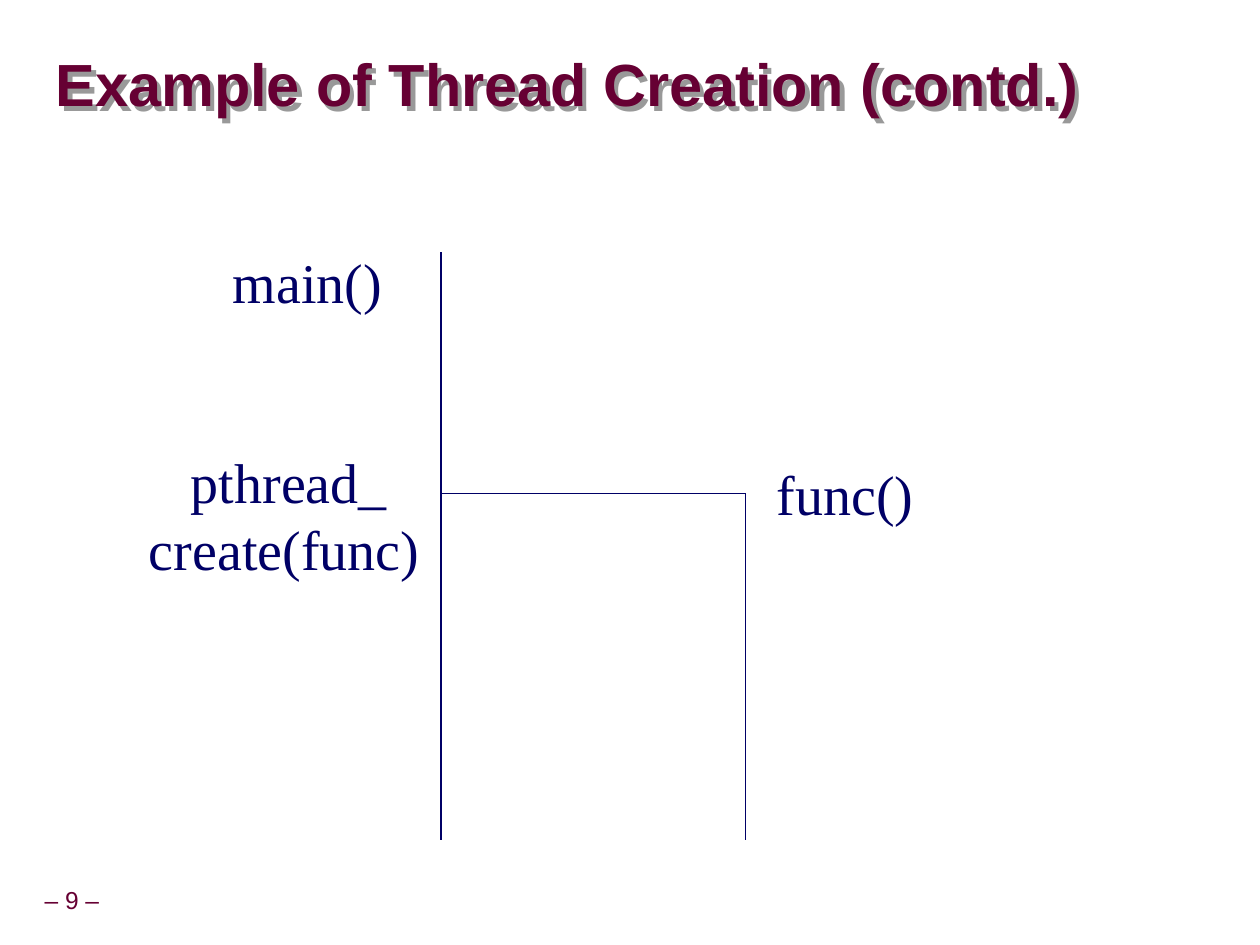
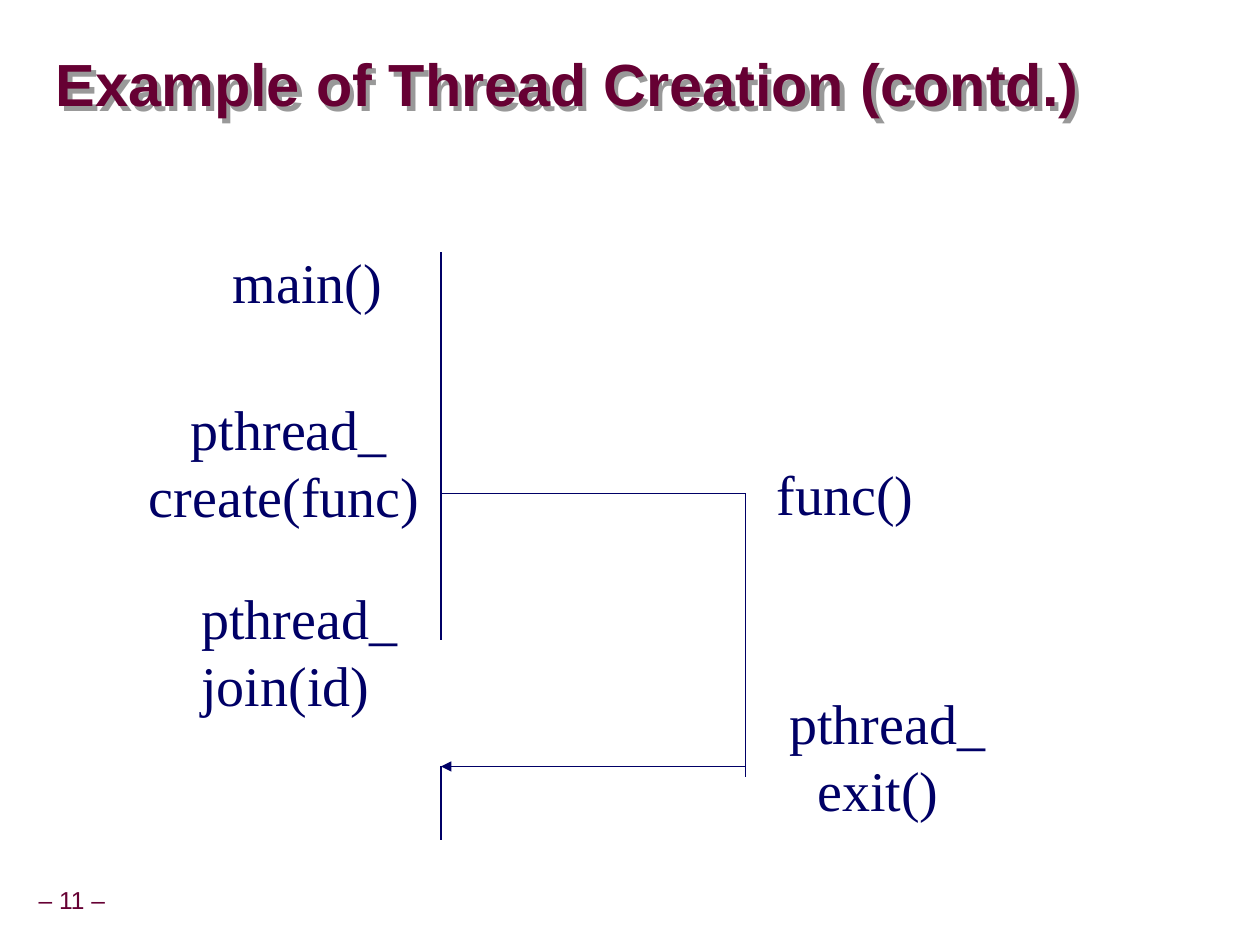
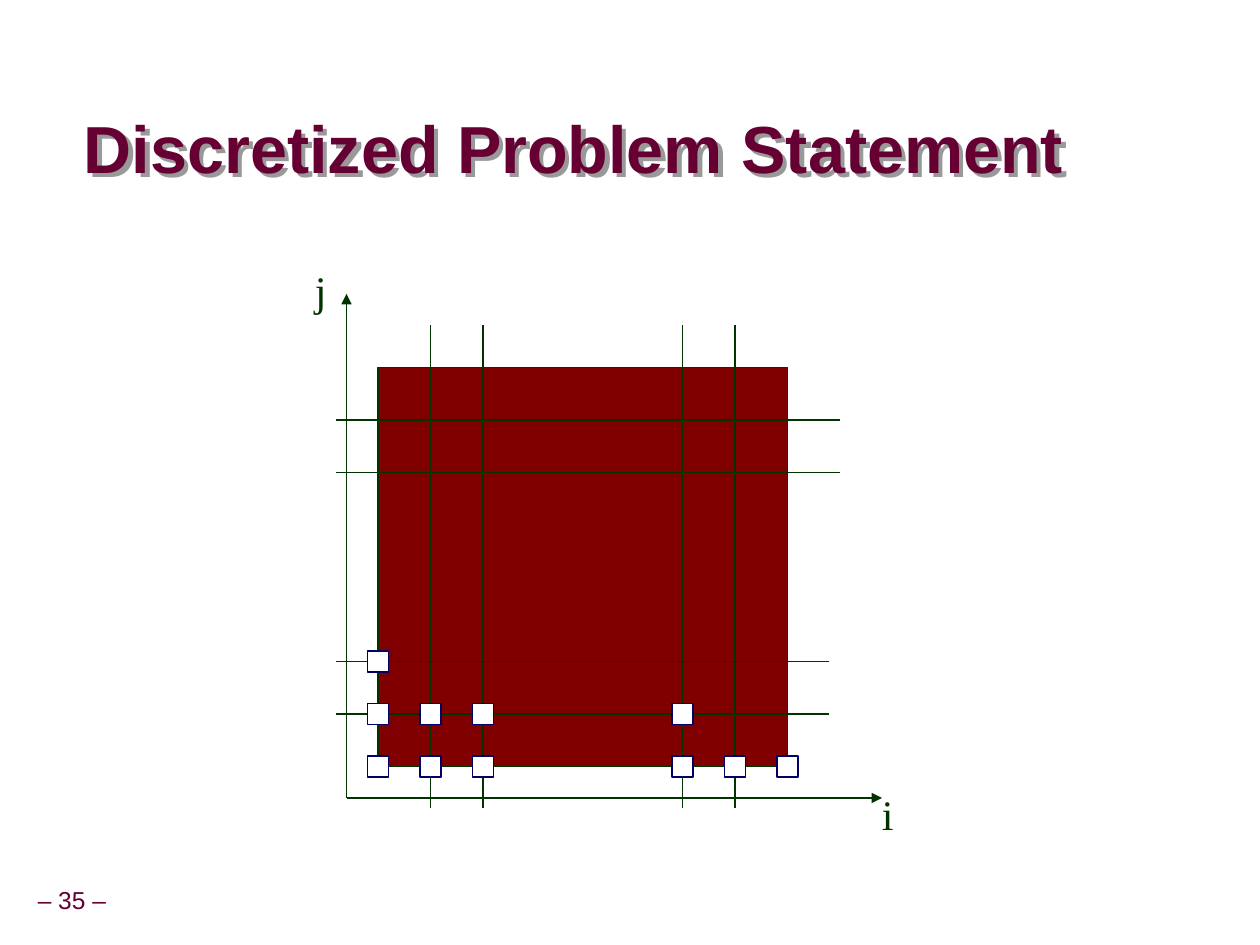
"""Builds three slides: two thread creation diagrams and a discretized grid."""
from lxml import etree
from pptx import Presentation
from pptx.dml.color import RGBColor
from pptx.enum.dml import MSO_THEME_COLOR
from pptx.enum.shapes import MSO_CONNECTOR, MSO_SHAPE
from pptx.enum.text import MSO_ANCHOR, MSO_AUTO_SIZE, PP_ALIGN
from pptx.oxml import parse_xml
from pptx.oxml.ns import nsdecls, qn
from pptx.util import Inches, Pt

RECT, STRAIGHT = MSO_SHAPE.RECTANGLE, MSO_CONNECTOR.STRAIGHT
TOP, MIDDLE = MSO_ANCHOR.TOP, MSO_ANCHOR.MIDDLE
LEFT, CENTER = PP_ALIGN.LEFT, PP_ALIGN.CENTER
GROW, FIXED = MSO_AUTO_SIZE.SHAPE_TO_FIT_TEXT, MSO_AUTO_SIZE.NONE
BACKGROUND = MSO_THEME_COLOR.BACKGROUND_1

WIDTH, HEIGHT, CELL = 10, 7.5, 1 / 12
WINE, NAVY, GREEN, RED, WHITE, GREY = "660033", "000066", "003300", "800000", "FFFFFF", "999999"

TITLE = dict(font=dict(name="Arial", bold=True), color=WINE,
             frame=dict(word_wrap=True, auto_size=FIXED, vertical_anchor=MIDDLE),
             para=dict(alignment=LEFT, line_spacing=0.87), insets=(0, 0))
FOOTER = dict(font=dict(name="Arial", size=Pt(14)), color=WINE,
              frame=dict(word_wrap=False, auto_size=GROW, vertical_anchor=MIDDLE),
              para=dict(alignment=CENTER, line_spacing=0.9), insets=(0.05, 0.05))
LABEL = dict(font=dict(name="Times New Roman", size=Pt(32)), color=NAVY,
             frame=dict(word_wrap=True, auto_size=GROW, vertical_anchor=TOP),
             para=dict(alignment=LEFT), insets=(0.1, 0.05))
AXIS_LABEL = {**LABEL, "font": dict(name="Times New Roman", size=Pt(24)), "color": GREEN}

THREAD_TITLE = ("Example of Thread Creation (contd.)", (5.3, 3.3, 114.4, 10.2), 34)
GRID_TITLE = ("Discretized Problem Statement", (8, 7, 102, 15), 38)

MAIN_X, FUNC_X, START_Y, FORK_Y, JOIN_Y, END_Y = 42, 71, 24, 47, 73, 80
FORK = (MAIN_X, FORK_Y, FUNC_X, FORK_Y, False)
COMMON_LABELS = [([("main()", 0)], (21, 23, 17, 7.7)),
                 ([("func()", 0)], (72.8, 43.2, 16, 7.7))]
CREATE = [("pthread_", 24), ("create(func)", 0)]
THREAD_SLIDES = [
    dict(page=9,
         labels=[(CREATE, (13, 42, 28.5, 14))],
         lines=[(MAIN_X, START_Y, MAIN_X, END_Y, False),
                (FUNC_X, FORK_Y, FUNC_X, END_Y, False)]),
    dict(page=11,
         labels=[(CREATE, (13, 37, 28.5, 14)),
                 ([("pthread_", 0), ("join(id)", 0)], (18, 55, 21.5, 14)),
                 ([("pthread_", 0), ("exit()", 16)], (74, 65, 21.5, 14))],
         lines=[(MAIN_X, START_Y, MAIN_X, 61, False),
                (FUNC_X, FORK_Y, FUNC_X, JOIN_Y + 1, False),
                (FUNC_X, JOIN_Y, MAIN_X, JOIN_Y, True),
                (MAIN_X, JOIN_Y, MAIN_X, END_Y, False)]),
]

DOMAIN = (36, 35, 39, 38)
AXES = [(33, 76, 84, 76, True), (33, 76, 33, 28, True)]
AXIS_LABELS = [("i", (82.8, 74.5, 3.5, 6)), ("j", (28.8, 24.6, 3.5, 6))]
COLUMNS = [41, 46, 65, 70]
ROWS = [(40, 80), (45, 80), (68, 79), (63, 79)]
NODES = {73: [36, 41, 46, 65, 70, 75], 68: [36, 41, 46, 65], 63: [36]}
NODE_SIZE = 2


def rgb(value):
    return RGBColor.from_string(value)


def cells(*values):
    return [Inches(v * CELL) for v in values]


def apply(target, values):
    for name, value in values.items():
        setattr(target, name, value)


def add_text(s, paragraphs, box, style):
    shape = s.shapes.add_textbox(*cells(*box))
    tf = shape.text_frame
    side, top = map(Inches, style["insets"])
    apply(tf, dict(margin_left=side, margin_right=side, margin_top=top,
                   margin_bottom=top, **style["frame"]))
    for i, (text, indent) in enumerate(paragraphs):
        p = tf.add_paragraph() if i else tf.paragraphs[0]
        if indent:
            p._p.get_or_add_pPr().set("marL", str(Pt(indent)))
        apply(p, style["para"])
        r = p.add_run()
        r.text = text
        apply(r.font, style["font"])
        r.font.color.rgb = rgb(style["color"])
    return shape


def add_title(s, text, box, size):
    style = {**TITLE, "font": {**TITLE["font"], "size": Pt(size)}}
    shape = add_text(s, [(text, 0)], box, style)
    shape._element.spPr.append(parse_xml(
        f'<a:effectLst {nsdecls("a")}><a:outerShdw dist="45000" dir="2700000">'
        f'<a:srgbClr val="{GREY}"/></a:outerShdw></a:effectLst>'))


def add_line(s, x1, y1, x2, y2, arrow, color):
    line = s.shapes.add_connector(STRAIGHT, *cells(x1, y1, x2, y2))
    line.line.color.rgb = rgb(color)
    line.line.width = Pt(0.75)
    if arrow:
        etree.SubElement(line.line._get_or_add_ln(), qn("a:tailEnd"), type="triangle")
    etree.SubElement(line._element.spPr, qn("a:effectLst"))


def add_rect(s, box, fill, color):
    shape = s.shapes.add_shape(RECT, *cells(*box))
    shape.shadow.inherit = False
    shape.fill.solid()
    shape.fill.fore_color.rgb = rgb(fill)
    shape.line.color.rgb = rgb(color)
    shape.line.width = Pt(0.75)


def add_slide(prs, title, page):
    s = prs.slides.add_slide(prs.slide_layouts[6])
    s.background.fill.solid()
    s.background.fill.fore_color.theme_color = BACKGROUND
    add_text(s, [(f"– {page} –", 0)], (-1, 84, 15.7, 3.7), FOOTER)
    add_title(s, *title)
    return s


def add_thread_slide(prs, page, labels, lines):
    s = add_slide(prs, THREAD_TITLE, page)
    for paragraphs, box in COMMON_LABELS + labels:
        add_text(s, paragraphs, box, LABEL)
    for line in [FORK] + lines:
        add_line(s, *line, NAVY)


def add_grid_slide(prs):
    s = add_slide(prs, GRID_TITLE, 35)
    add_rect(s, DOMAIN, RED, GREEN)
    columns = [(x, 31, x, 77, False) for x in COLUMNS]
    rows = [(32, y, right, y, False) for y, right in ROWS]
    for line in AXES + columns + rows:
        add_line(s, *line, GREEN)
    for text, box in AXIS_LABELS:
        add_text(s, [(text, 0)], box, AXIS_LABEL)
    for y, xs in NODES.items():
        for x in xs:
            corner = (x - NODE_SIZE / 2, y - NODE_SIZE / 2)
            add_rect(s, (*corner, NODE_SIZE, NODE_SIZE), WHITE, NAVY)


def main():
    prs = Presentation()
    prs.slide_width, prs.slide_height = Inches(WIDTH), Inches(HEIGHT)
    for slide in THREAD_SLIDES:
        add_thread_slide(prs, **slide)
    add_grid_slide(prs)
    prs.save("out.pptx")


if __name__ == "__main__":
    main()
